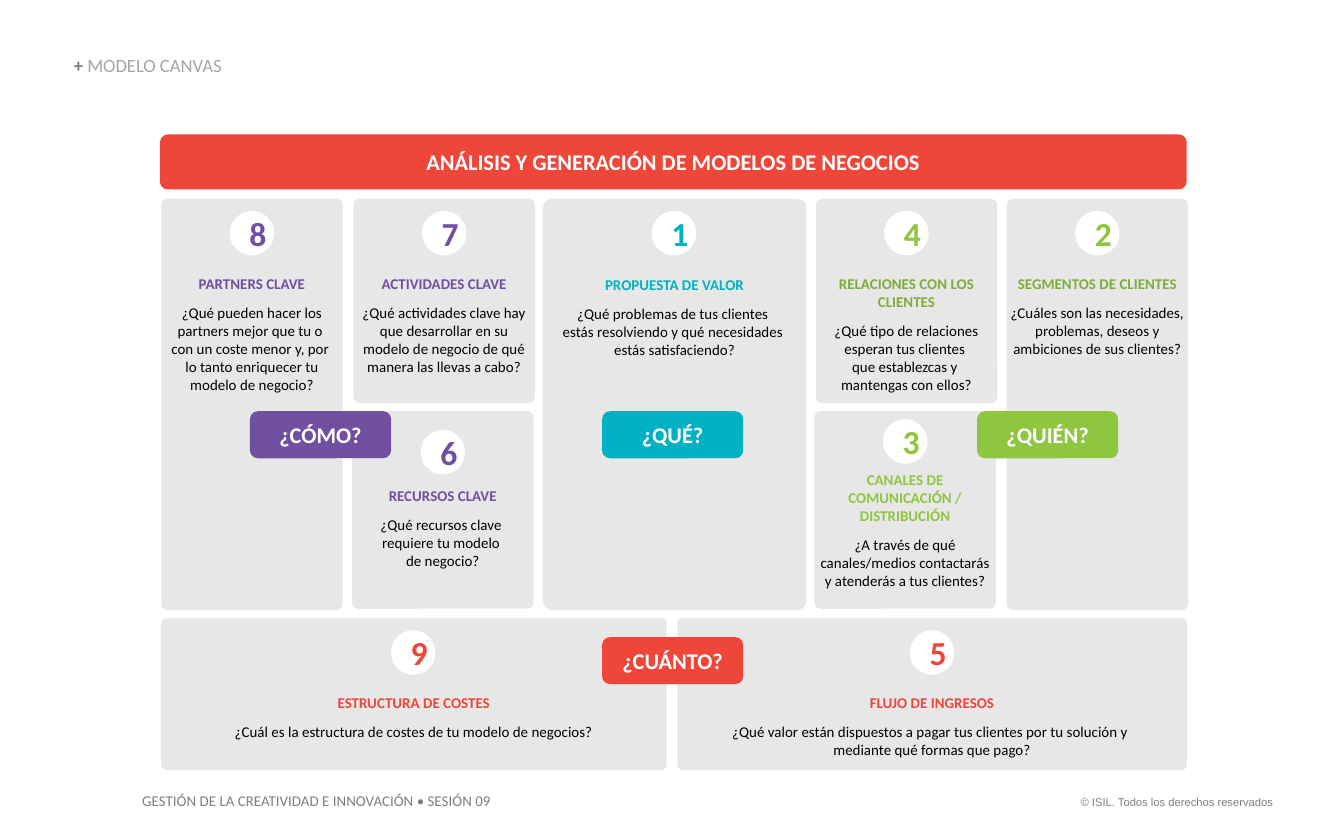
from dataclasses import dataclass

from pptx import Presentation
from pptx.dml.color import RGBColor
from pptx.enum.shapes import MSO_SHAPE
from pptx.enum.text import MSO_ANCHOR, MSO_AUTO_SIZE, PP_ALIGN
from pptx.shapes.autoshape import Shape
from pptx.slide import Slide
from pptx.text.text import TextFrame, _Paragraph
from pptx.util import Emu, Pt

PX = 9144
BADGE = 33
PAD = (10, 5, 10, 5)
FLAT = (0, 0, 0, 0)

WHITE = RGBColor(0xFF, 0xFF, 0xFF)
BLACK = RGBColor(0x00, 0x00, 0x00)
PALE = RGBColor(0xE7, 0xE7, 0xE7)
GRAY = RGBColor(0x7F, 0x7F, 0x7F)
SILVER = RGBColor(0xA5, 0xA5, 0xA5)
RED = RGBColor(0xEE, 0x46, 0x39)
TEAL = RGBColor(0x00, 0xB1, 0xC3)
PURPLE = RGBColor(0x71, 0x4F, 0xA0)
GREEN = RGBColor(0x8E, 0xC6, 0x40)
OLIVE = RGBColor(0x7C, 0xAD, 0x38)


@dataclass(frozen=True)
class Box:
    left: int
    top: int
    width: int
    height: int

    def emu(self) -> tuple[Emu, ...]:
        sides = (self.left, self.top, self.width, self.height)
        return tuple(Emu(side * PX) for side in sides)


@dataclass(frozen=True)
class Card:
    box: Box
    number: str
    head: str
    body: str
    tint: RGBColor
    ink: RGBColor
    drop: int = 9
    inset: int = 55


@dataclass(frozen=True)
class Label:
    box: Box
    text: str
    fill: RGBColor
    curve: float = 0.167


@dataclass(frozen=True)
class Footer:
    box: Box
    text: str
    size: int
    font: str
    align: PP_ALIGN


CARDS = [
    Card(Box(404, 148, 196, 306), "1", "PROPUESTA DE VALOR",
         "¿Qué problemas de tus clientes \nestás resolviendo y qué necesidades \n"
         "estás satisfaciendo?", TEAL, TEAL),
    Card(Box(263, 148, 135, 152), "7", "ACTIVIDADES CLAVE",
         "¿Qué actividades clave hay que desarrollar en su modelo de negocio "
         "de qué manera las llevas a cabo?", PURPLE, PURPLE),
    Card(Box(120, 148, 135, 306), "8", "PARTNERS CLAVE",
         "¿Qué pueden hacer los partners mejor que tu o \ncon un coste menor y, por \n"
         "lo tanto enriquecer tu modelo de negocio?", PURPLE, PURPLE),
    Card(Box(262, 306, 135, 147), "6", "RECURSOS CLAVE",
         "¿Qué recursos clave \nrequiere tu modelo \nde negocio?",
         PURPLE, PURPLE, drop=14),
    Card(Box(607, 148, 135, 152), "4", "RELACIONES CON LOS CLIENTES",
         "¿Qué tipo de relaciones esperan tus clientes \nque establezcas y \n"
         "mantengas con ellos?", GREEN, OLIVE),
    Card(Box(606, 306, 135, 147), "3", "CANALES DE COMUNICACIÓN / DISTRIBUCIÓN",
         "¿A través de qué canales/medios contactarás y atenderás a tus clientes?",
         GREEN, GREEN, drop=6, inset=43),
    Card(Box(749, 148, 135, 306), "2", "SEGMENTOS DE CLIENTES",
         "¿Cuáles son las necesidades, problemas, deseos y ambiciones de sus clientes?",
         GREEN, OLIVE),
    Card(Box(120, 460, 376, 113), "9", "ESTRUCTURA DE COSTES",
         "¿Cuál es la estructura de costes de tu modelo de negocios?", RED, RED),
    Card(Box(504, 460, 379, 113), "5", "FLUJO DE INGRESOS",
         "¿Qué valor están dispuestos a pagar tus clientes por tu solución y \n"
         "mediante qué formas que pago?", RED, RED),
]

LABELS = [
    Label(Box(448, 474, 105, 35), "¿CUÁNTO?", RED),
    Label(Box(448, 306, 105, 35), "¿QUÉ?", TEAL),
    Label(Box(186, 306, 105, 35), "¿CÓMO?", PURPLE),
    Label(Box(727, 306, 105, 35), "¿QUIÉN?", GREEN),
    Label(Box(119, 100, 764, 41), "ANÁLISIS Y GENERACIÓN DE MODELOS DE NEGOCIOS",
          RED, 0.145),
]

FOOTERS = [
    Footer(Box(788, 587, 169, 20), "© ISIL. Todos los derechos reservados",
           6, "Arial", PP_ALIGN.RIGHT),
    Footer(Box(96, 584, 285, 24),
           "GESTIÓN DE LA CREATIVIDAD E INNOVACIÓN • SESIÓN 09",
           8, "Calibri", PP_ALIGN.LEFT),
]


def add_run(para: _Paragraph, text: str, size: int, ink: RGBColor,
            bold: bool = False, font: str = "Calibri") -> None:
    for row, line in enumerate(text.split("\n")):
        if row:
            para.add_line_break()
        run = para.add_run()
        run.text = line
        run.font.size = Pt(size)
        run.font.name = font
        run.font.bold = bold
        run.font.color.rgb = ink


def set_frame(frame: TextFrame, pads: tuple[int, ...], anchor: MSO_ANCHOR) -> None:
    frame.word_wrap = True
    frame.auto_size = MSO_AUTO_SIZE.NONE
    frame.vertical_anchor = anchor
    (frame.margin_left, frame.margin_top,
     frame.margin_right, frame.margin_bottom) = (Emu(pad * PX) for pad in pads)


def add_block(slide: Slide, kind: MSO_SHAPE, box: Box, fill: RGBColor) -> Shape:
    shape = slide.shapes.add_shape(kind, *box.emu())
    shape.shadow.inherit = False
    shape.fill.solid()
    shape.fill.fore_color.rgb = fill
    shape.line.fill.background()
    return shape


def add_card(slide: Slide, card: Card) -> None:
    box = card.box
    block = add_block(slide, MSO_SHAPE.ROUNDED_RECTANGLE, box, PALE)
    block.adjustments[0] = 0.033
    frame = block.text_frame
    set_frame(frame, (0, card.inset, 0, 0), MSO_ANCHOR.TOP)
    head = frame.paragraphs[0]
    head.alignment = PP_ALIGN.CENTER
    add_run(head, card.head, 8, card.ink, True)
    body = frame.add_paragraph()
    body.alignment = PP_ALIGN.CENTER
    body.space_before = Pt(6)
    add_run(body, card.body, 8, BLACK)

    spot = Box(box.left + (box.width - BADGE) // 2, box.top + card.drop, BADGE, BADGE)
    badge = add_block(slide, MSO_SHAPE.OVAL, spot, WHITE)
    set_frame(badge.text_frame, PAD, MSO_ANCHOR.MIDDLE)
    para = badge.text_frame.paragraphs[0]
    para.alignment = PP_ALIGN.CENTER
    add_run(para, card.number, 18, card.tint, True)


def add_label(slide: Slide, label: Label) -> None:
    block = add_block(slide, MSO_SHAPE.ROUNDED_RECTANGLE, label.box, label.fill)
    block.adjustments[0] = label.curve
    set_frame(block.text_frame, FLAT, MSO_ANCHOR.MIDDLE)
    para = block.text_frame.paragraphs[0]
    para.alignment = PP_ALIGN.CENTER
    add_run(para, label.text, 12, WHITE, True)


def add_footer(slide: Slide, foot: Footer) -> None:
    frame = slide.shapes.add_textbox(*foot.box.emu()).text_frame
    set_frame(frame, PAD, MSO_ANCHOR.TOP)
    para = frame.paragraphs[0]
    para.alignment = foot.align
    add_run(para, foot.text, foot.size, GRAY, font=foot.font)


def set_title(slide: Slide) -> None:
    title = slide.shapes.title
    title.left, title.top, title.width, title.height = Box(55, 40, 274, 17).emu()
    set_frame(title.text_frame, FLAT, MSO_ANCHOR.BOTTOM)
    para = title.text_frame.paragraphs[0]
    para.alignment = PP_ALIGN.LEFT
    add_run(para, "+ ", 10, GRAY, True)
    add_run(para, "MODELO CANVAS", 10, SILVER)


def main() -> None:
    deck = Presentation()
    deck.slide_width, deck.slide_height = Emu(1000 * PX), Emu(625 * PX)
    slide = deck.slides.add_slide(deck.slide_layouts[5])
    set_title(slide)
    for foot in FOOTERS:
        add_footer(slide, foot)
    for card in CARDS:
        add_card(slide, card)
    for label in LABELS:
        add_label(slide, label)
    deck.save("out.pptx")


if __name__ == "__main__":
    main()
